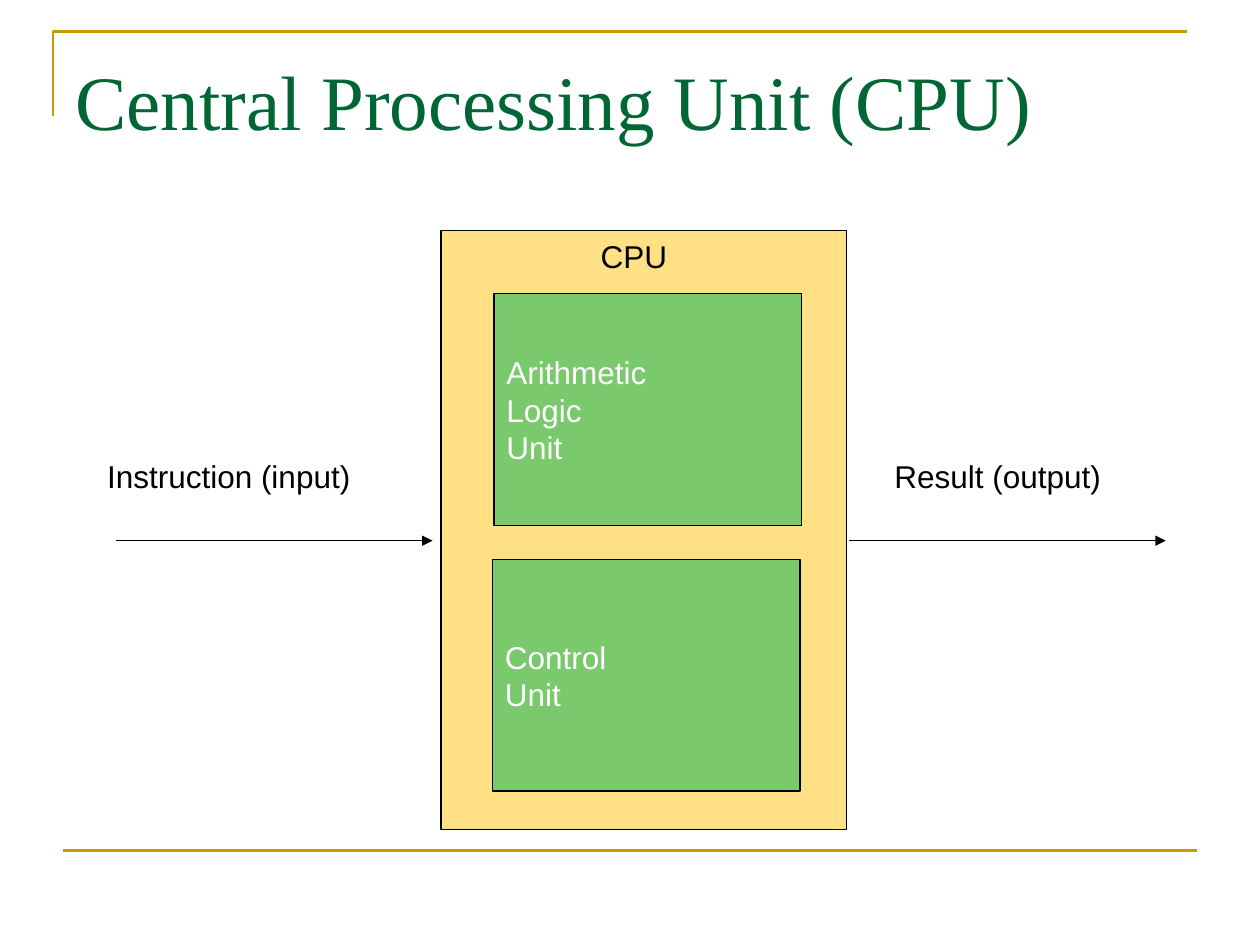
"""Build a slide that shows the parts of a central processing unit."""
from lxml.etree import SubElement as Sub
from pptx import Presentation as Deck
from pptx.dml.color import RGBColor as Rgb
from pptx.enum.shapes import MSO_CONNECTOR as Link, MSO_SHAPE as Form
from pptx.enum.text import MSO_ANCHOR as Anchor, PP_ALIGN as Align
from pptx.oxml.ns import qn
from pptx.util import Cm, Pt

HUES = {"gold": "CC9900", "title": "006633", "cpu": "FFE085",
        "unit": "7AC96C", "ink": "000000", "pale": "FFFFFF"}


def hue(name):
    return Rgb.from_string(HUES[name])


def write(shape, text, color, size=18, face="Arial"):
    frame = shape.text_frame
    frame.text = text
    for para in frame.paragraphs:
        para.alignment = Align.LEFT
        for run in para.runs:
            run.font.size = Pt(size)
            run.font.name = face
            run.font.color.rgb = hue(color)
    return frame


def stroke(shape, color, width):
    shape.line.color.rgb = hue(color)
    shape.line.width = Pt(width)


def block(shapes, x, y, w, h, color):
    rect = shapes.add_shape(Form.RECTANGLE, Cm(x), Cm(y), Cm(w), Cm(h))
    rect.shadow.inherit = False
    rect.fill.solid()
    rect.fill.fore_color.rgb = hue(color)
    stroke(rect, "ink", 0.75)
    return rect


def label(shapes, x, y, w, text, wrap=False):
    box = shapes.add_textbox(Cm(x), Cm(y), Cm(w), Cm(1.27))
    write(box, text, "ink").word_wrap = wrap


def rule(shapes, x, y, w, color, width, head=False):
    line = shapes.add_connector(Link.STRAIGHT, Cm(x), Cm(y), Cm(x + w), Cm(y))
    stroke(line, color, width)
    if head:
        Sub(line.line._get_or_add_ln(), qn("a:tailEnd"), type="triangle")
    Sub(line._element.spPr, qn("a:effectLst"))


def border(shapes, x, y, w, h):
    pen = shapes.build_freeform(Cm(x), Cm(y + 1.7))
    pen.add_line_segments([(Cm(x), Cm(y)), (Cm(x + w), Cm(y))], close=False)
    edge = pen.convert_to_shape()
    edge.shadow.inherit = False
    edge.fill.background()
    stroke(edge, "gold", 1.5)
    rule(shapes, x + 0.2, y + h, w, "gold", 1.5)


def heading(title, x, y, w, h):
    title.left, title.top, title.width, title.height = map(Cm, (x, y, w, h))
    frame = write(title, "Central Processing Unit (CPU)", "title", 44,
                  "Times New Roman")
    frame.vertical_anchor = Anchor.TOP
    frame.margin_top = Cm(0.32)


def chip(shapes, x, y, w, h):
    block(shapes, x, y, w, h, "cpu")
    units = [(1.07, 1.27, "Arithmetic\vLogic\vUnit"),
             (1.04, 6.63, "Control\nUnit")]
    for dx, dy, text in units:
        unit = block(shapes, x + dx, y + dy, 6.2, 4.67, "unit")
        frame = write(unit, text, "pale")
        frame.vertical_anchor = Anchor.MIDDLE
    label(shapes, x + 2.97, y, 2.16, "CPU", True)


def flow(shapes, x, y, w, h):
    chip(shapes, x + 6.55, y, 8.18, h)
    for dx in (0, 14.78):
        rule(shapes, x + dx, y + 6.25, 6.38, "ink", 0.75, True)
    label(shapes, x - 0.43, y + 4.44, 6.71, "Instruction (input)")
    label(shapes, x + w - 5.72, y + 4.44, 5.61, "Result (output)")


def main():
    deck = Deck()
    deck.slide_width, deck.slide_height = Cm(25.4), Cm(19.05)
    slide = deck.slides.add_slide(deck.slide_layouts[5])
    border(slide.shapes, 1.07, 0.64, 22.86, 16.51)
    flow(slide.shapes, 2.34, 4.65, 21.16, 12.07)
    heading(slide.shapes.title, 1.27, 0.76, 22.86, 3.18)
    deck.save("out.pptx")


main()
